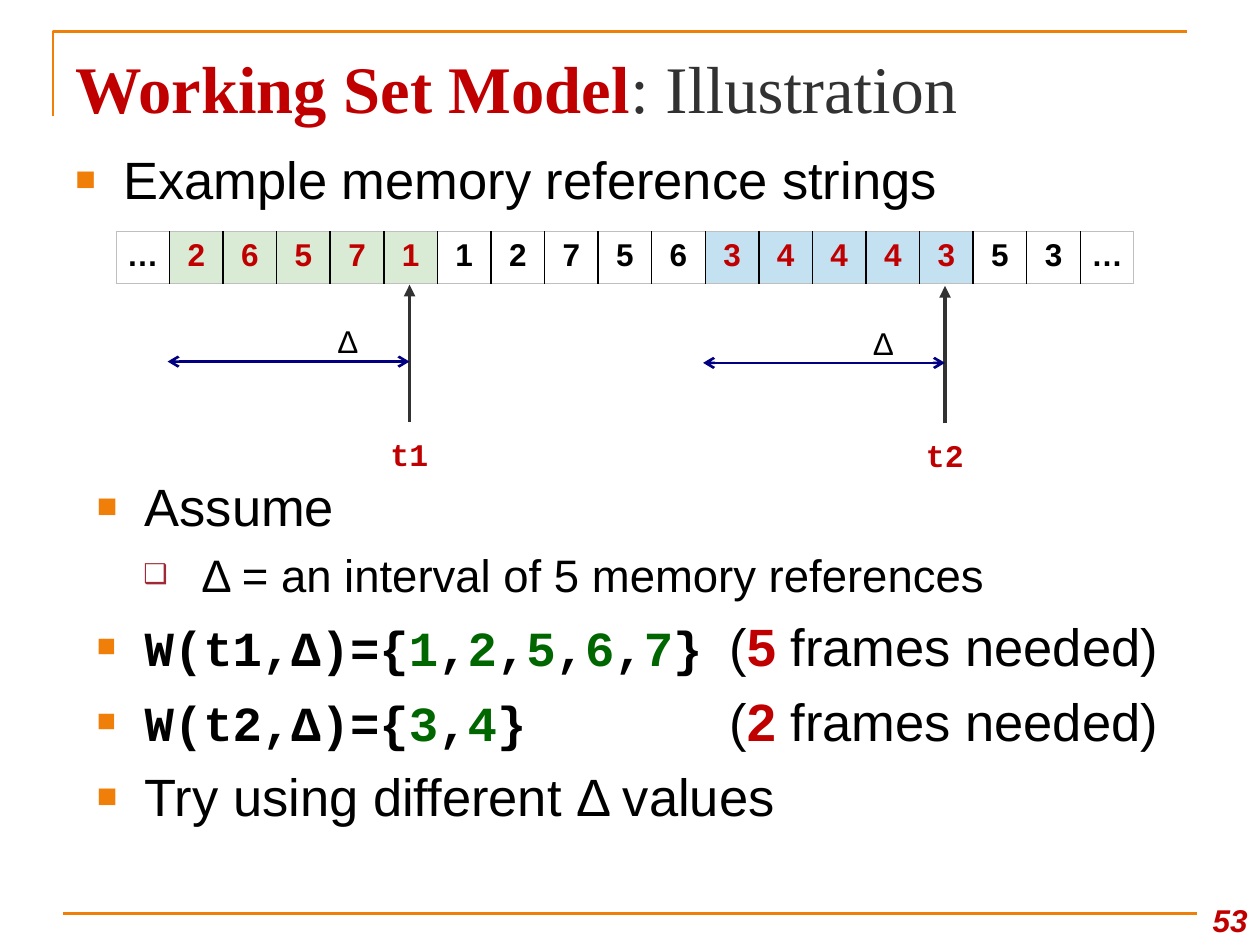
import dataclasses

import pptx
import pptx.dml.color
import pptx.enum.shapes
import pptx.enum.text
import pptx.oxml
import pptx.oxml.ns
import pptx.util
from lxml import etree

Inches = pptx.util.Inches
Pt = pptx.util.Pt
RGB = pptx.dml.color.RGBColor.from_string
Align = pptx.enum.text.PP_ALIGN
Anchor = pptx.enum.text.MSO_ANCHOR
qn = pptx.oxml.ns.qn


@dataclasses.dataclass(frozen=True)
class Theme:
    sans: str = "Arial"
    serif: str = "Times New Roman"
    mono: str = "Courier New"
    accent: str = "F07F09"
    sub_bullet: str = "9F2936"
    red: str = "C00000"
    green: str = "006600"
    navy: str = "000080"
    dark: str = "323232"
    black: str = "000000"
    edge: str = "BFBFBF"
    past: str = "D9EAD5"
    recent: str = "C4E1F2"
    title: int = 38
    body: int = 30
    sub: int = 26
    code: int = 28
    label: int = 18


def add_run(p, text, size=18, font="Arial", color="000000", bold=False, italic=False):
    r = p.add_run()
    r.text = text
    r.font.size = Pt(size)
    r.font.name = font
    r.font.color.rgb = RGB(color)
    r.font.bold = bold
    r.font.italic = italic


def add_child(parent, tag, **attrs):
    return etree.SubElement(parent, qn(tag), {k: str(v) for k, v in attrs.items()})


class Deck:
    """Builds a slide's elements in one theme."""

    def __init__(self, theme):
        self.theme = theme
        self.prs = pptx.Presentation()
        self.prs.slide_width, self.prs.slide_height = Inches(10), Inches(7.5)
        self.s = self.prs.slides.add_slide(self.prs.slide_layouts[5])

    def title(self, box, runs):
        sp = self.s.shapes.title
        sp.left, sp.top, sp.width, sp.height = map(Inches, box)
        tf = sp.text_frame
        tf.vertical_anchor = Anchor.MIDDLE
        p = tf.paragraphs[0]
        p.alignment = Align.LEFT
        for text, fmt in runs:
            add_run(p, text, **fmt)

    def frame(self, box, wrap=True, anchor=Anchor.TOP):
        tf = self.s.shapes.add_textbox(*map(Inches, box)).text_frame
        tf.word_wrap = wrap
        tf.vertical_anchor = anchor
        return tf

    def label(self, box, text, wrap=True, anchor=Anchor.TOP, align=Align.LEFT, **fmt):
        p = self.frame(box, wrap, anchor).paragraphs[0]
        p.alignment = align
        add_run(p, text, size=self.theme.label, **fmt)

    def bullets(self, box, items):
        tf = self.frame(box)
        for i, (level, runs) in enumerate(items):
            p = tf.add_paragraph() if i else tf.paragraphs[0]
            if i:
                p.space_before = Pt(6 if level else 7)
            self.bullet(p, level)
            for text, fmt in runs:
                add_run(p, text, **{"size": self.theme.body, **fmt})

    def bullet(self, p, level):
        t = self.theme
        left, hang, color, size, char = (
            (0.83, 0.46, t.sub_bullet, 60, "❑") if level else (0.38, 0.38, t.accent, 65, "■"))
        p.level = level
        pPr = p._p.get_or_add_pPr()
        pPr.set("marL", str(Inches(left)))
        pPr.set("indent", str(-Inches(hang)))
        add_child(add_child(pPr, "a:buClr"), "a:srgbClr", val=color)
        add_child(pPr, "a:buSzPct", val=size * 1000)
        add_child(pPr, "a:buFont", typeface=t.sans)
        add_child(pPr, "a:buChar", char=char)
        add_child(add_child(pPr, "a:tabLst"), "a:tab", pos=Inches(5.02), algn="l")

    def line(self, start, end, color, width, head=None, tail=None):
        c = self.s.shapes.add_connector(
            pptx.enum.shapes.MSO_CONNECTOR.STRAIGHT, *map(Inches, start + end))
        c.line.color.rgb = RGB(color)
        c.line.width = Pt(width)
        ln = c.line._get_or_add_ln()
        for tag, kind in (("a:headEnd", head), ("a:tailEnd", tail)):
            if kind:
                add_child(ln, tag, type=kind)
        add_child(c._element.spPr, "a:effectLst")

    def corner(self, points, color, width):
        first, *rest = [tuple(map(Inches, pt)) for pt in points]
        fb = self.s.shapes.build_freeform(*first)
        fb.add_line_segments(rest, close=False)
        sp = fb.convert_to_shape()
        sp.shadow.inherit = False
        sp.fill.background()
        sp.line.color.rgb = RGB(color)
        sp.line.width = Pt(width)

    def strip(self, box, values, fills):
        t = self.theme
        table = self.s.shapes.add_table(1, len(values), *map(Inches, box)).table
        table.first_row = table.horz_banding = False
        last = len(values) - 1
        for i, value in enumerate(values):
            table.columns[i].width = Inches(box[2] / len(values))
            cell = table.cell(0, i)
            cell.margin_left = cell.margin_right = Inches(0.05)
            tcPr = cell._tc.get_or_add_tcPr()
            for side, outer in (("L", i == 0), ("R", i == last), ("T", True), ("B", True)):
                ln = add_child(tcPr, "a:ln" + side, w=Pt(0.5 if outer else 1))
                color = t.edge if outer else t.black
                add_child(add_child(ln, "a:solidFill"), "a:srgbClr", val=color)
            if i in fills:
                cell.fill.solid()
                cell.fill.fore_color.rgb = RGB(fills[i])
            else:
                cell.fill.background()
            p = cell.text_frame.paragraphs[0]
            p.alignment = Align.CENTER
            add_run(p, value, size=t.label, bold=True, color=t.red if i in fills else t.black)

    def window(self, x, y, name):
        t = self.theme
        self.line((x, y), (x, y - 1.09), t.dark, 2.25, tail="triangle")
        self.label((x - 0.25, y + 0.05, 0.5, 0.4), name, font=t.mono, color=t.red, bold=True)
        self.line((x - 1.92, y - 0.48), (x, y - 0.48), t.navy, 1.5, head="arrow", tail="arrow")
        self.label((x - 0.67, y - 0.84, 0.35, 0.4), "Δ", wrap=False)


def working_set(theme, name, pages):
    code = dict(size=theme.code, font=theme.mono, bold=True)
    runs = [(f"W({name},Δ)={{", code)]
    for i, page in enumerate(pages):
        if i:
            runs.append((",", code))
        runs.append((page, {**code, "color": theme.green}))
    return runs + [("}", code), ("\t(", {}),
                   (str(len(pages)), dict(color=theme.red, bold=True)),
                   (" frames needed)", {})]


def main():
    t = Theme()
    deck = Deck(t)
    deck.corner([(0.42, 0.92), (0.42, 0.25), (9.42, 0.25)], t.accent, 1.5)
    deck.line((0.5, 7.25), (9.5, 7.25), t.accent, 1.5)
    heading = dict(size=t.title, font=t.serif)
    deck.title((0.5, 0.3, 9, 0.78), [
        ("Working Set Model", dict(heading, color=t.red, bold=True)),
        (": Illustration", dict(heading, color=t.dark))])
    deck.bullets((0.5, 1.12, 9, 0.79), [(0, [("Example memory reference strings", {})])])
    deck.bullets((0.67, 3.71, 8.83, 3.21), [
        (0, [("Assume", {})]),
        (1, [("Δ = an interval of 5 memory references", dict(size=t.sub))]),
        (0, working_set(t, "t1", "12567")),
        (0, working_set(t, "t2", "34")),
        (0, [("Try using different Δ values", {})])])
    deck.label((9.42, 7, 0.58, 0.5), "53", anchor=Anchor.BOTTOM, align=Align.RIGHT,
               color=t.red, bold=True, italic=True)
    fills = {**dict.fromkeys(range(1, 6), t.past), **dict.fromkeys(range(11, 16), t.recent)}
    deck.strip((0.92, 1.84, 8.08, 0.41), "…26571127563444353…", fills)
    deck.window(3.25, 3.35, "t1")
    deck.window(7.5, 3.36, "t2")
    deck.prs.save("out.pptx")


if __name__ == "__main__":
    main()
